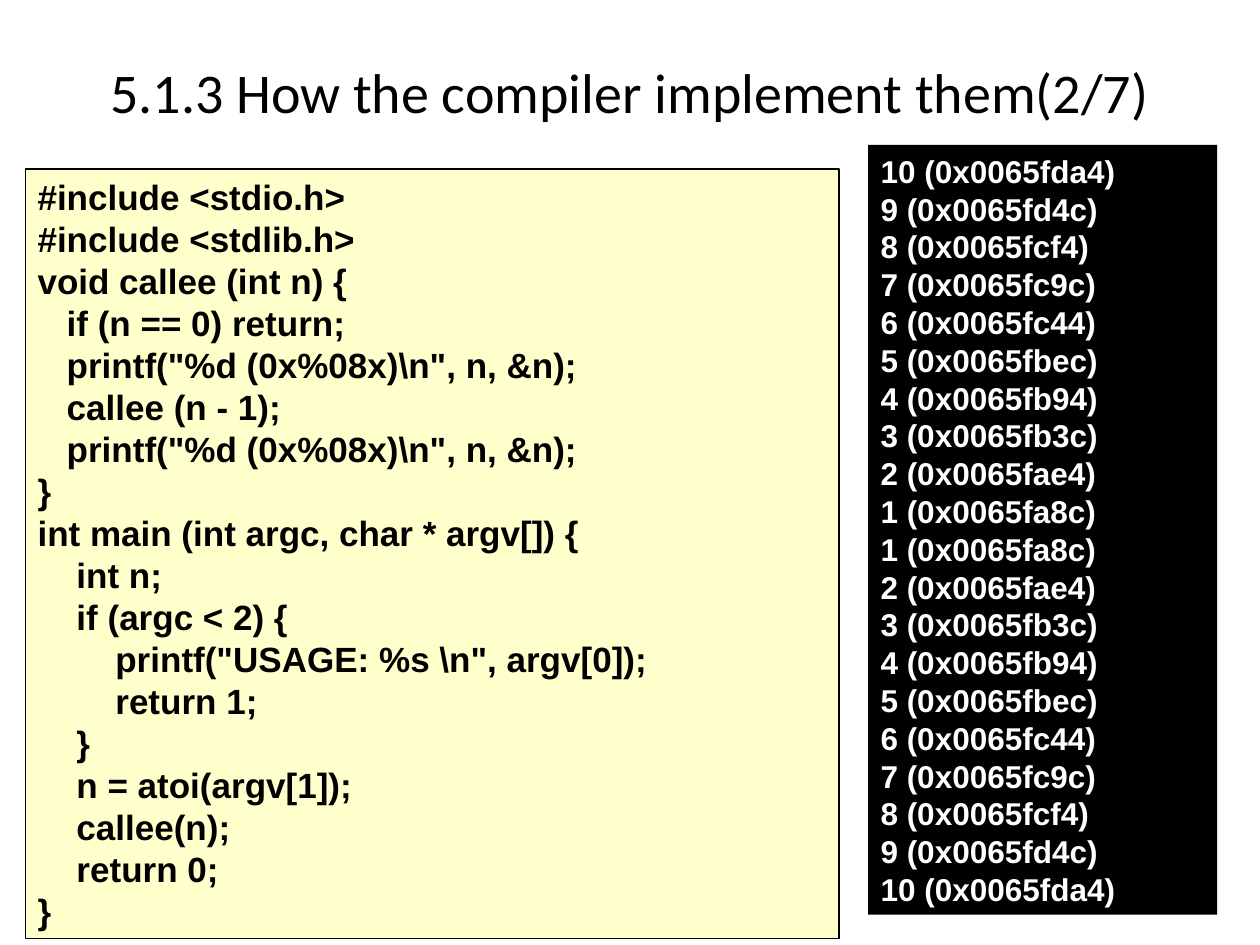
from pptx import Presentation
from pptx.dml.color import RGBColor
from pptx.enum.shapes import MSO_SHAPE as Shape
from pptx.enum.text import MSO_ANCHOR as Anchor, MSO_AUTO_SIZE as AutoSize, PP_ALIGN as Align
from pptx.util import Inches, Pt

SPACE_WIDTH = 0.278
LINE_PITCH = 1.2
FIRST_ADDRESS = 0x0065FDA4
FRAME_SIZE = 0x58
DEPTH = 10

CODE = r'''#include <stdio.h>
#include <stdlib.h>
void callee (int n) {
   if (n == 0) return;
   printf("%d (0x%08x)\n", n, &n);
   callee (n - 1);
   printf("%d (0x%08x)\n", n, &n);
}
int main (int argc, char * argv[]) {
    int n;
    if (argc < 2) {
        printf("USAGE: %s \n", argv[0]);
        return 1;
    }
    n = atoi(argv[1]);
    callee(n);
    return 0;
}'''


def color(value):
    return RGBColor.from_string(value)


def set_font(paragraph, name, size, value, bold=False):
    font = paragraph.font
    font.name, font.size, font.bold = name, Pt(size), bold
    font.color.rgb = color(value)


def set_title(slide, text):
    title = slide.shapes.title
    title.left, title.top = Inches(0), Inches(0.3)
    title.width, title.height = Inches(10), Inches(0.85)
    frame = title.text_frame
    frame.text = text
    frame.auto_size = AutoSize.NONE
    frame.vertical_anchor = Anchor.MIDDLE
    paragraph = frame.paragraphs[0]
    paragraph.alignment = Align.CENTER
    set_font(paragraph, "Calibri", 32, "000000")


def add_listing(slide, bounds, lines, size, text_color, fill, outline=None):
    shape = slide.shapes.add_shape(Shape.RECTANGLE, *map(Inches, bounds))
    shape.shadow.inherit = False
    shape.fill.solid()
    shape.fill.fore_color.rgb = color(fill)
    if outline:
        shape.line.color.rgb = color(outline)
        shape.line.width = Pt(0.75)
    else:
        shape.line.fill.background()
    frame = shape.text_frame
    frame.word_wrap = True
    frame.vertical_anchor = Anchor.MIDDLE
    for index, line in enumerate(lines):
        paragraph = frame.add_paragraph() if index else frame.paragraphs[0]
        paragraph.text = line.lstrip()
        paragraph.alignment = Align.LEFT
        paragraph.line_spacing = Pt(size * LINE_PITCH)
        set_font(paragraph, "Arial", size, text_color, bold=True)
        spaces = len(line) - len(line.lstrip())
        if spaces:
            properties = paragraph._p.get_or_add_pPr()
            properties.set("marL", str(Pt(spaces * SPACE_WIDTH * size)))


def call_trace():
    descent = [
        f"{n} (0x{FIRST_ADDRESS - (DEPTH - n) * FRAME_SIZE:08x})"
        for n in range(DEPTH, 0, -1)
    ]
    return descent + descent[::-1]


def main():
    presentation = Presentation()
    presentation.slide_width, presentation.slide_height = Inches(10), Inches(7.5)
    slide = presentation.slides.add_slide(presentation.slide_layouts[5])
    set_title(slide, "5.1.3 How the compiler implement them(2/7)")
    add_listing(slide, (0.2, 1.34, 6.46, 6.11), CODE.splitlines(), 20, "000000", "FFFFCC", "000000")
    add_listing(slide, (6.89, 1.15, 2.77, 6.11), call_trace(), 18, "FFFFFF", "000000")
    presentation.save("out.pptx")


if __name__ == "__main__":
    main()
